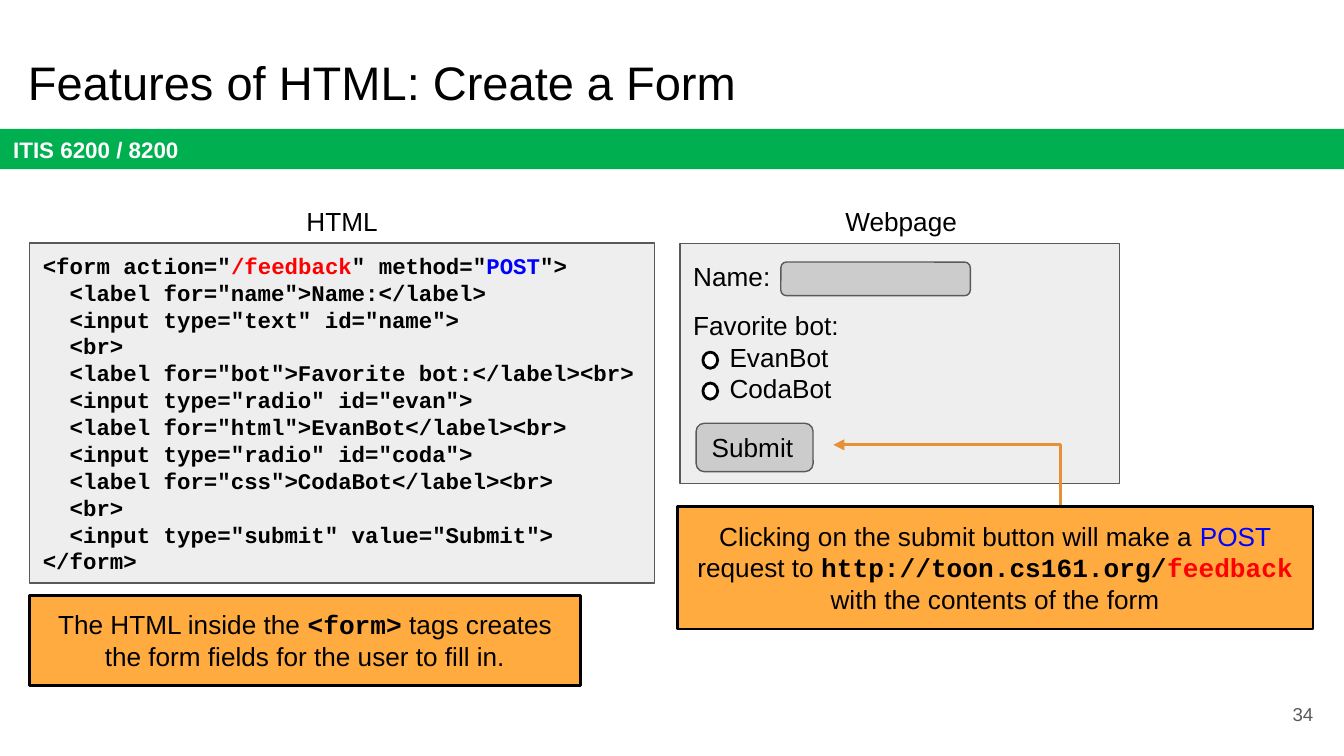
"""Build the slide that explains how an HTML form becomes a webpage form."""
import pptx
import pptx.dml.color
import pptx.enum.shapes
import pptx.enum.text
import pptx.util
from lxml import etree

Inches = pptx.util.Inches
Pt = pptx.util.Pt
RGBColor = pptx.dml.color.RGBColor
SHAPE = pptx.enum.shapes.MSO_SHAPE
ALIGN = pptx.enum.text.PP_ALIGN
ANCHOR = pptx.enum.text.MSO_ANCHOR

BLACK = RGBColor(0, 0, 0)
WHITE = RGBColor(255, 255, 255)
GREEN = RGBColor(0, 176, 80)
RED = RGBColor(255, 0, 0)
BLUE = RGBColor(0, 0, 255)
DARK_GRAY = RGBColor(89, 89, 89)
MID_GRAY = RGBColor(204, 204, 204)
LIGHT_GRAY = RGBColor(238, 238, 238)
ORANGE = RGBColor(255, 171, 64)
ARROW_ORANGE = RGBColor(230, 145, 56)
SANS = "Arial"
MONO = "Courier New"


def add_panel(kind, place, fill, line=None, width=0.75):
    panel = page.shapes.add_shape(kind, *[Inches(value) for value in place])
    panel.shadow.inherit = False
    panel.fill.solid()
    panel.fill.fore_color.rgb = fill
    if line is None:
        panel.line.fill.background()
    else:
        panel.line.color.rgb = line
        panel.line.width = Pt(width)
    return panel


def write(box, lines, size, font=SANS, color=BLACK, bold=False,
          align=ALIGN.LEFT, anchor=ANCHOR.MIDDLE):
    frame = box.text_frame
    frame.word_wrap = True
    frame.vertical_anchor = anchor
    frame.margin_left = frame.margin_right = Inches(0.1)
    frame.margin_top = frame.margin_bottom = Inches(0.1)
    for index, line in enumerate(lines):
        para = frame.add_paragraph() if index else frame.paragraphs[0]
        para.alignment = align
        para.font.size = Pt(size)
        para.font.name = font
        para.font.color.rgb = color
        para.font.bold = bold
        for text, changes in [(line, {})] if isinstance(line, str) else line:
            span = para.add_run()
            span.text = text
            if "color" in changes:
                span.font.color.rgb = changes["color"]
            if "font" in changes:
                span.font.name = changes["font"]
                span.font.bold = True
    return frame.paragraphs


deck = pptx.Presentation()
deck.slide_width = Inches(10)
deck.slide_height = Inches(10 * 9 / 16)
page = deck.slides.add_slide(deck.slide_layouts[6])

banner = add_panel(SHAPE.RECTANGLE, (0, 0.96, 10, 0.3), GREEN)
write(banner, ["ITIS 6200 / 8200"], 12, color=WHITE, bold=True)

for place, text, size, color, align, anchor in [
    ((0.11, 0.3, 9.32, 0.63), "Features of HTML: Create a Form", 25.2, BLACK, ALIGN.LEFT, ANCHOR.TOP),
    ((9.27, 5.1, 0.6, 0.43), "34", 10, DARK_GRAY, ALIGN.RIGHT, ANCHOR.MIDDLE),
    ((0.22, 1.43, 4.65, 0.44), "HTML", 14, BLACK, ALIGN.CENTER, ANCHOR.TOP),
    ((5.07, 1.43, 3.27, 0.44), "Webpage", 14, BLACK, ALIGN.CENTER, ANCHOR.TOP),
]:
    label = page.shapes.add_textbox(*[Inches(value) for value in place])
    write(label, [text], size, color=color, align=align, anchor=anchor)

code_lines = [
    [('<form action="', {}), ("/feedback", {"color": RED}), ('" method="', {}),
     ("POST", {"color": BLUE}), ('">', {})],
    '  <label for="name">Name:</label>',
    '  <input type="text" id="name">',
    "  <br>",
    '  <label for="bot">Favorite bot:</label><br>',
    '  <input type="radio" id="evan">',
    '  <label for="html">EvanBot</label><br>',
    '  <input type="radio" id="coda">',
    '  <label for="css">CodaBot</label><br>',
    "  <br>",
    '  <input type="submit" value="Submit">',
    "</form>",
]
code = add_panel(SHAPE.RECTANGLE, (0.22, 1.81, 4.65, 2.53), LIGHT_GRAY, DARK_GRAY)
write(code, code_lines, 12, font=MONO, bold=True)

webpage = add_panel(SHAPE.RECTANGLE, (5.06, 1.81, 3.27, 1.79), LIGHT_GRAY, DARK_GRAY)
fields = write(webpage, ["Name:", "Favorite bot:", "EvanBot", "CodaBot"], 14, anchor=ANCHOR.TOP)
webpage.text_frame.margin_top = Inches(0.13)
fields[1].space_before = Pt(9.5)
for index, option in enumerate(fields[2:]):
    option._p.get_or_add_pPr().set("marL", str(Inches(0.27)))
    add_panel(SHAPE.OVAL, (5.23, 2.62 + 0.23 * index, 0.11, 0.12), WHITE, BLACK, 1.5)

add_panel(SHAPE.ROUNDED_RECTANGLE, (5.81, 1.95, 1.41, 0.25), MID_GRAY, DARK_GRAY)
submit = add_panel(SHAPE.ROUNDED_RECTANGLE, (5.18, 3.15, 0.87, 0.36), MID_GRAY, DARK_GRAY)
write(submit, ["Submit"], 14)

outline = page.shapes.build_freeform(Inches(7.89), Inches(4.13))
outline.add_line_segments([(Inches(7.89), Inches(3.31)), (Inches(6.2), Inches(3.31))], close=False)
arrow = outline.convert_to_shape()
arrow.shadow.inherit = False
arrow.fill.background()
arrow.line.color.rgb = ARROW_ORANGE
arrow.line.width = Pt(1.5)
namespace = "{http://schemas.openxmlformats.org/drawingml/2006/main}"
etree.SubElement(arrow.line._get_or_add_ln(), namespace + "tailEnd", type="triangle")

request_note = [
    ("Clicking on the submit button will make a ", {}),
    ("POST", {"color": BLUE}),
    (" request to ", {}),
    ("http://toon.cs161.org/", {"font": MONO}),
    ("feedback ", {"font": MONO, "color": RED}),
    ("with the contents of the form", {}),
]
form_note = [
    ("The HTML inside the ", {}),
    ("<form>", {"font": MONO}),
    (" tags creates the form fields for the user to fill in.", {}),
]
for place, note in [((5.04, 3.77, 4.73, 0.91), request_note), ((0.22, 4.43, 4.1, 0.67), form_note)]:
    callout = add_panel(SHAPE.RECTANGLE, place, ORANGE, BLACK, 1.5)
    write(callout, [note], 14, align=ALIGN.CENTER, anchor=ANCHOR.TOP)

deck.save("out.pptx")
